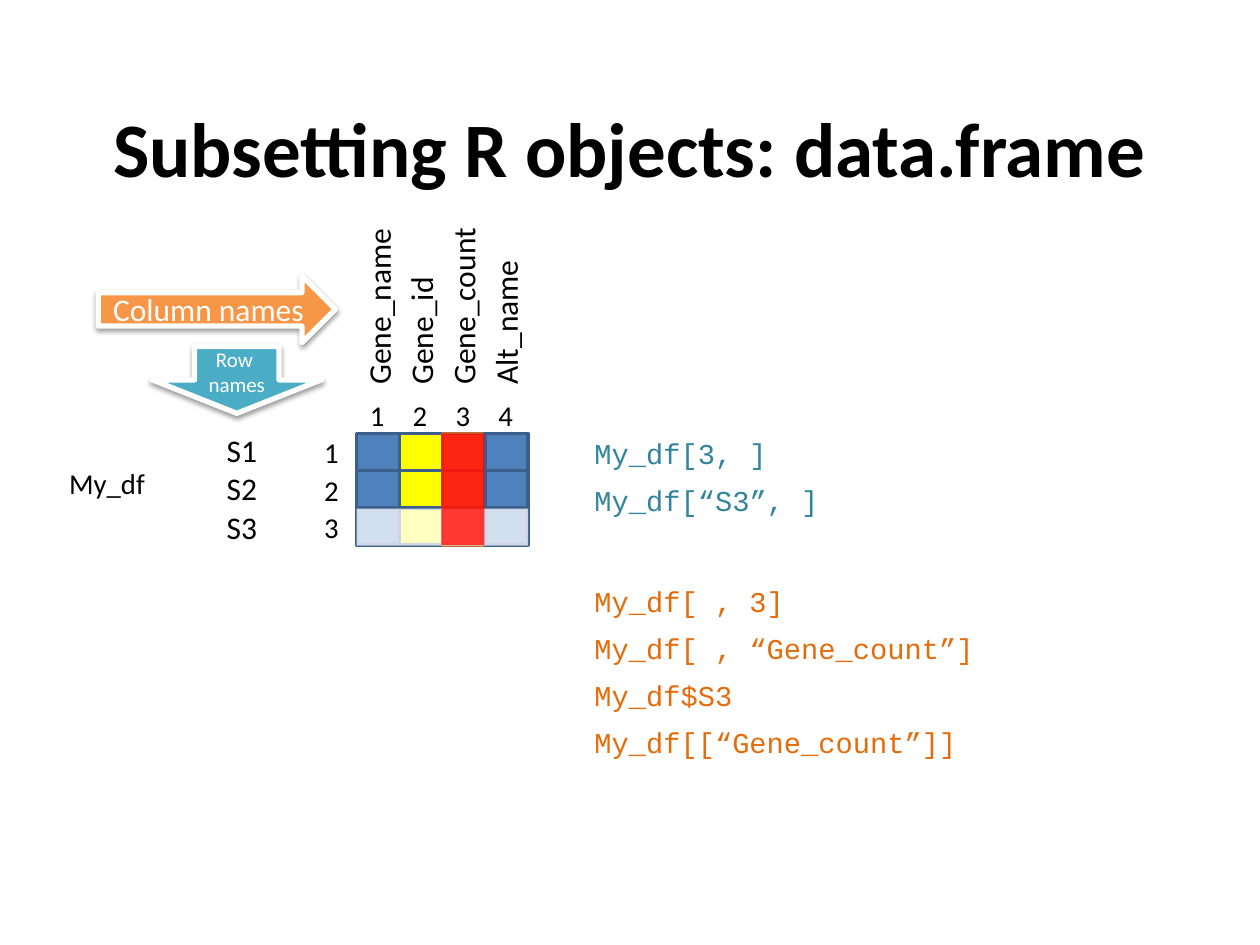
from lxml import etree
from pptx import Presentation
from pptx import util as u
from pptx.dml import color
from pptx.enum import shapes, text
from pptx.oxml import ns

GRID_LEFT, GRID_TOP = 203.8, 247.8
CELL_WIDTH, CELL_HEIGHT = 24.5, 21.2
BLUE, YELLOW, ORANGE, TEAL = "4F81BD", "FFFF00", "F79646", "4BACC6"
DARK_BLUE, DARK_ORANGE = "3A5F8C", "B76F34"
COLUMNS = [  # name, label length, fill, line
    ("Gene_name", 108, BLUE, DARK_BLUE),
    ("Gene_id", 83.5, YELLOW, DARK_BLUE),
    ("Gene_count", 108, ORANGE, DARK_ORANGE),
    ("Alt_name", 126.7, BLUE, DARK_BLUE),
]
ROWS = ["S1", "S2", "S3"]
CODE_GROUPS = [  # top, colour, lines with their widths
    (245.5, "31859C", [("My_df[3, ]", 126.7), ("My_df[“S3”, ]", 142.6)]),
    (329.8, "E46C0A", [("My_df[ , 3]", 126.7),
                       ("My_df[ , “Gene_count”]", 244),
                       ("My_df$S3", 142.6),
                       ("My_df[[“Gene_count”]]", 228.2)]),
]


def rgb(value):
    """Return the colour for a hex string."""
    return color.RGBColor.from_string(value)


def add_child(parent, tag, **attributes):
    """Append a DrawingML element to a parent element."""
    child = etree.SubElement(parent, ns.qn(tag))
    for name, value in attributes.items():
        child.set(name, str(value))
    return child


def write(shape, lines, size, font="Calibri", colour="000000",
          align=text.PP_ALIGN.LEFT, bold=False):
    """Write one paragraph with one run for each line."""
    frame = shape.text_frame
    frame.word_wrap = True
    for index, line in enumerate(lines):
        paragraph = frame.paragraphs[0] if index == 0 else frame.add_paragraph()
        paragraph.alignment = align
        run = paragraph.add_run()
        run.text = line
        run.font.size = u.Pt(size)
        run.font.name = font
        run.font.bold = bold
        run.font.color.rgb = rgb(colour)


def add_label(slide, wording, left, top, width, height, size, rotation=0, **style):
    """Add a text box with a single line of text."""
    box = slide.shapes.add_textbox(u.Pt(left), u.Pt(top), u.Pt(width), u.Pt(height))
    box.rotation = rotation
    write(box, [wording], size, **style)


def add_block(slide, kind, left, top, width, height, fill, line=None, weight=2):
    """Add a filled preset shape without shadow."""
    shape = slide.shapes.add_shape(
        kind, u.Pt(left), u.Pt(top), u.Pt(width), u.Pt(height))
    shape.shadow.inherit = False
    shape.fill.solid()
    shape.fill.fore_color.rgb = rgb(fill)
    if line:
        shape.line.color.rgb = rgb(line)
        shape.line.width = u.Pt(weight)
    else:
        shape.line.fill.background()
    return shape


def add_overlay(slide, left, top, width, height, fill):
    """Add a rectangle of 75 % opacity over part of the grid."""
    shape = add_block(slide, shapes.MSO_SHAPE.RECTANGLE, left, top, width, height, fill)
    solid = shape._element.spPr.find(ns.qn("a:solidFill"))
    add_child(solid[0], "a:alpha", val=75000)


def add_arrow(slide, kind, left, top, width, height, fill, lines, size):
    """Add a white-edged block arrow with a soft shadow and a caption."""
    arrow = add_block(slide, kind, left, top, width, height, fill, "FFFFFF", 3)
    effects = arrow._element.spPr.find(ns.qn("a:effectLst"))
    shadow = add_child(effects, "a:outerShdw", blurRad=u.Pt(3.1), dist=u.Pt(1.6),
                       dir=5400000, rotWithShape=0)
    add_child(add_child(shadow, "a:srgbClr", val="000000"), "a:alpha", val=38000)
    arrow.text_frame.vertical_anchor = text.MSO_ANCHOR.MIDDLE
    write(arrow, lines, size, colour="FFFFFF", align=text.PP_ALIGN.CENTER)


def add_grid(slide):
    """Add the data frame cells with their numbers and names."""
    center = text.PP_ALIGN.CENTER
    for column, (name, length, fill, line) in enumerate(COLUMNS):
        left = GRID_LEFT + column * CELL_WIDTH
        for row in range(len(ROWS)):
            add_block(slide, shapes.MSO_SHAPE.RECTANGLE, left,
                      GRID_TOP + row * CELL_HEIGHT, CELL_WIDTH, CELL_HEIGHT, fill, line)
        add_label(slide, str(column + 1), left - 0.5, 224, CELL_WIDTH, 26.6, 16.4,
                  align=center)
        middle_x, bottom = 216.2 + column * 24.2, 226.8
        add_label(slide, name, middle_x - length / 2, bottom - length / 2 - 14.4,
                  length, 28.8, 18, rotation=270)
    for row, name in enumerate(ROWS):
        add_label(slide, str(row + 1), 177.1, 244.8 + row * 21.6, CELL_WIDTH, 26.6, 16.4,
                  align=center)
        add_label(slide, name, 122.4, 242.6 + row * 22, 36.7, 28.8, 18)


def add_highlights(slide):
    """Fade the third row and mark the third column."""
    add_overlay(slide, GRID_LEFT, GRID_TOP + 2 * CELL_HEIGHT + 0.5,
                len(COLUMNS) * CELL_WIDTH, CELL_HEIGHT, "FFFFFF")
    add_overlay(slide, GRID_LEFT + 2 * CELL_WIDTH - 0.5, GRID_TOP,
                CELL_WIDTH, len(ROWS) * CELL_HEIGHT, "FF0000")


def add_code(slide):
    """Add the subsetting expressions."""
    for top, colour, lines in CODE_GROUPS:
        for index, (code, width) in enumerate(lines):
            add_label(slide, code, 332.6, top + index * 27, width, 26.6, 16.4,
                      font="Courier New", colour=colour)


def main():
    """Build and save the slide."""
    presentation = Presentation()
    presentation.slide_width, presentation.slide_height = u.Pt(720), u.Pt(540)
    slide = presentation.slides.add_slide(presentation.slide_layouts[6])
    add_label(slide, "Subsetting R objects: data.frame", 36, 54, 648, 90, 44,
              bold=True, align=text.PP_ALIGN.CENTER)
    add_grid(slide)
    add_highlights(slide)
    add_label(slide, "My_df", 32.4, 262.8, 113, 26.6, 16.4)
    add_arrow(slide, shapes.MSO_SHAPE.RIGHT_ARROW, 56.2, 157.7, 135.4, 38.2,
              ORANGE, ["Column names"], 18)
    add_arrow(slide, shapes.MSO_SHAPE.DOWN_ARROW, 87.1, 198, 96.5, 38.2,
              TEAL, ["Row ", "names"], 12)
    add_code(slide)
    presentation.save("out.pptx")


main()
